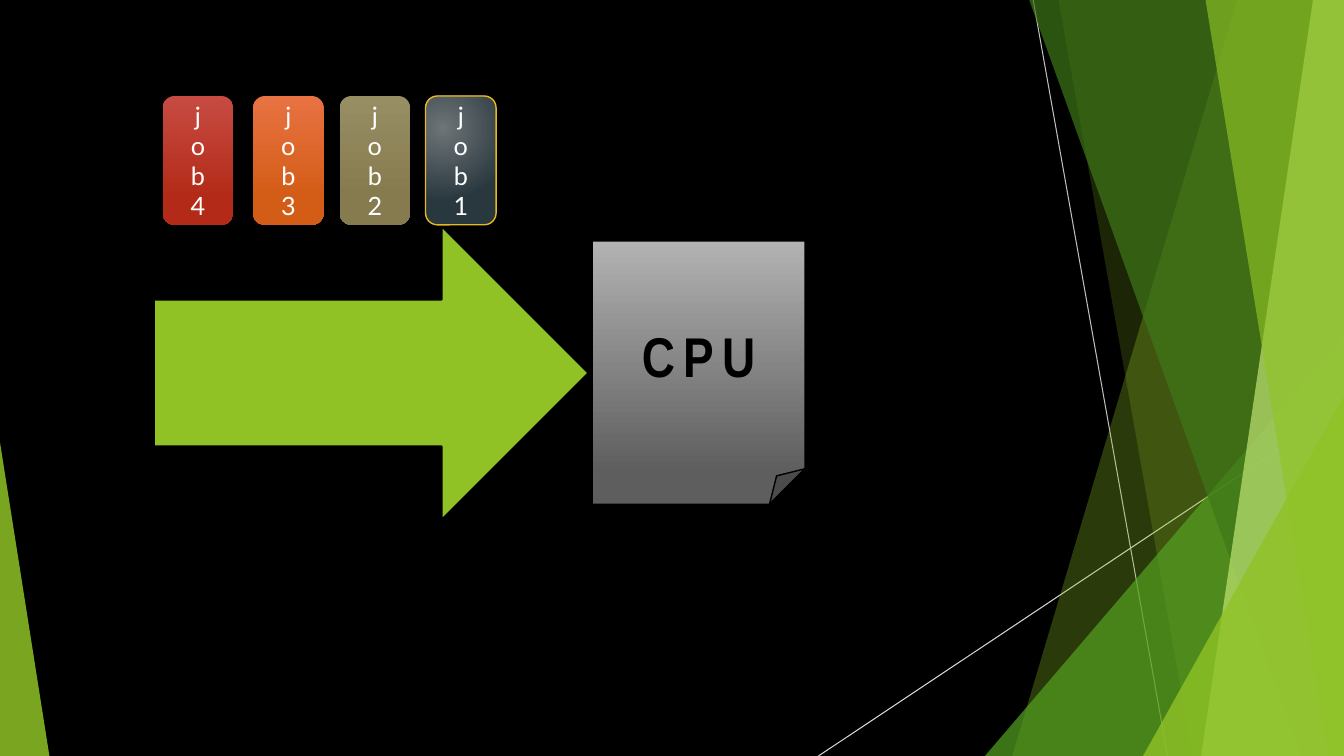
"""Build a slide showing four queued jobs feeding a CPU."""
from lxml import etree
from pptx import Presentation
from pptx.dml.color import RGBColor
from pptx.enum.shapes import MSO_CONNECTOR, MSO_SHAPE
from pptx.enum.text import MSO_ANCHOR, PP_ALIGN
from pptx.oxml.ns import qn
from pptx.util import Pt


def paint(shape, colors, opacity=100, last_stop=100, line=None, width=1):
    """Apply a solid or two-stop fill, opacity, outline and no shadow."""
    shape.shadow.inherit = False
    fill = shape.fill
    if len(colors) == 1:
        fill.solid()
        fill.fore_color.rgb = RGBColor.from_string(colors[0])
        if opacity < 100:
            color = shape._element.spPr.find(".//" + qn("a:srgbClr"))
            etree.SubElement(color, qn("a:alpha"), val=str(opacity * 1000))
    else:
        fill.gradient()
        fill.gradient_angle = 270
        for stop, color, position in zip(fill.gradient_stops, colors, (0, last_stop)):
            stop.color.rgb = RGBColor.from_string(color)
            stop.position = position / 100
    if line:
        shape.line.color.rgb = RGBColor.from_string(line)
        shape.line.width = Pt(width)
    else:
        shape.line.fill.background()


def write(shape, text, size, font, color):
    """Put one centred line of text in a shape and return its run."""
    frame = shape.text_frame
    frame.vertical_anchor = MSO_ANCHOR.MIDDLE
    frame.paragraphs[0].alignment = PP_ALIGN.CENTER
    run = frame.paragraphs[0].add_run()
    run.text = text
    run.font.size = Pt(size)
    run.font.name = font
    run.font.color.rgb = RGBColor.from_string(color)
    return run


WIDTH, HEIGHT = 960, 540
prs = Presentation()
prs.slide_width, prs.slide_height = Pt(WIDTH), Pt(HEIGHT)
slide = prs.slides.add_slide(prs.slide_layouts[6])
slide.background.fill.solid()
slide.background.fill.fore_color.rgb = RGBColor.from_string("000000")
shapes = slide.shapes

for x1, y1, x2, y2, color in [(738, 0, 834, HEIGHT, "BFBFBF"),
                              (WIDTH, 290, 584.6, HEIGHT, "D9D9D9")]:
    ray = shapes.add_connector(MSO_CONNECTOR.STRAIGHT, Pt(x1), Pt(y1), Pt(x2), Pt(y2))
    ray.line.color.rgb = RGBColor.from_string(color)
    ray.line.width = Pt(0.75)
    etree.SubElement(ray._element.spPr, qn("a:effectLst"))

facets = [
    ("band", 884, 723, "90C226", 30),
    ("band", 756, 852, "90C226", 20),
    ("triangle", 703.5, 256.5, 240, 1, "54A021", 72),
    ("band", 735, 929.5, "3F7819", 70),
    ("band", 938, 858, "C0E474", 70),
    ("band", 861, 949, "90C226", 65),
    ("triangle", 816.5, 143.5, 283, 1, "90C226", 80),
    ("triangle", 0, 35.3, 316, 0, "90C226", 85),
]
for kind, *geometry, color, opacity in facets:
    if kind == "band":
        top_x, bottom_x = geometry
        outline = shapes.build_freeform(Pt(top_x), Pt(-0.6))
        outline.add_line_segments([(Pt(WIDTH), Pt(-0.6)), (Pt(WIDTH), Pt(HEIGHT)),
                                   (Pt(bottom_x), Pt(HEIGHT))], close=True)
        facet = outline.convert_to_shape()
    else:
        left, width, top, apex = geometry
        facet = shapes.add_shape(MSO_SHAPE.ISOSCELES_TRIANGLE, Pt(left), Pt(top),
                                 Pt(width), Pt(HEIGHT - top))
        facet.adjustments[0] = apex
    paint(facet, [color], opacity)

arrow = shapes.add_shape(MSO_SHAPE.RIGHT_ARROW, Pt(109.8), Pt(161.5), Pt(310.6), Pt(210))
paint(arrow, ["90C226"], line="000000", width=1.5)

jobs = [
    ("job4", 116.2, ["C74B42", "B32B18"], 78, None),
    ("job3", 180.8, ["E87242", "D35D16"], 78, None),
    ("job2", 242.6, ["988E64", "857B4E"], 78, None),
    ("job1", 304, ["6E7478", "29383F"], 100, "E6B91E"),
]
for name, left, colors, last_stop, line in jobs:
    job = shapes.add_shape(MSO_SHAPE.ROUNDED_RECTANGLE, Pt(left), Pt(68.6), Pt(50.4), Pt(92))
    paint(job, colors, last_stop=last_stop, line=line)
    write(job, name, 18, "Lato", "FFFFFF")
    job.text_frame._txBody.bodyPr.set("vert", "wordArtVert")
    properties = job._element.spPr
    if line:
        gradient = properties.find(qn("a:gradFill"))
        gradient.remove(gradient.find(qn("a:lin")))
        path = etree.SubElement(gradient, qn("a:path"), path="circle")
        etree.SubElement(path, qn("a:fillToRect"), l="50000", t="50000", r="100000", b="100000")
    else:
        shadow = etree.SubElement(properties.find(qn("a:effectLst")), qn("a:outerShdw"),
                                  blurRad=str(Pt(4)), dist=str(Pt(3)), dir="5400000",
                                  rotWithShape="0")
        shade = etree.SubElement(shadow, qn("a:srgbClr"), val="000000")
        etree.SubElement(shade, qn("a:alpha"), val="35000")

cpu = shapes.add_shape(MSO_SHAPE.FOLDED_CORNER, Pt(423), Pt(172.2), Pt(152), Pt(188))
paint(cpu, ["B2B2B2", "5E5E5E"], last_stop=88, line="000000")
label = write(cpu, "CPU", 40, "Arial Narrow", "000000")
label.font.bold = True
label.font._element.set("spc", "600")

prs.save("out.pptx")
